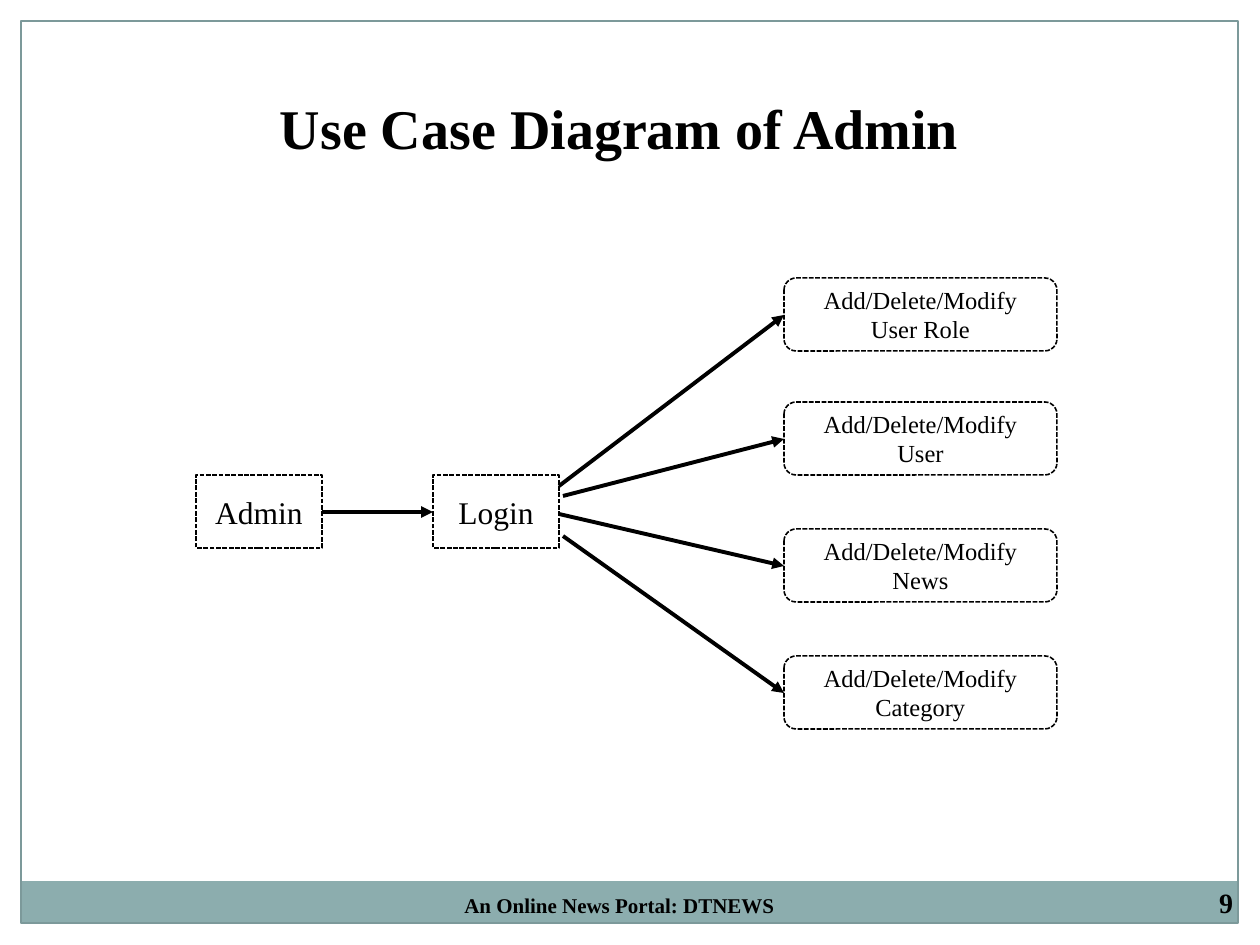
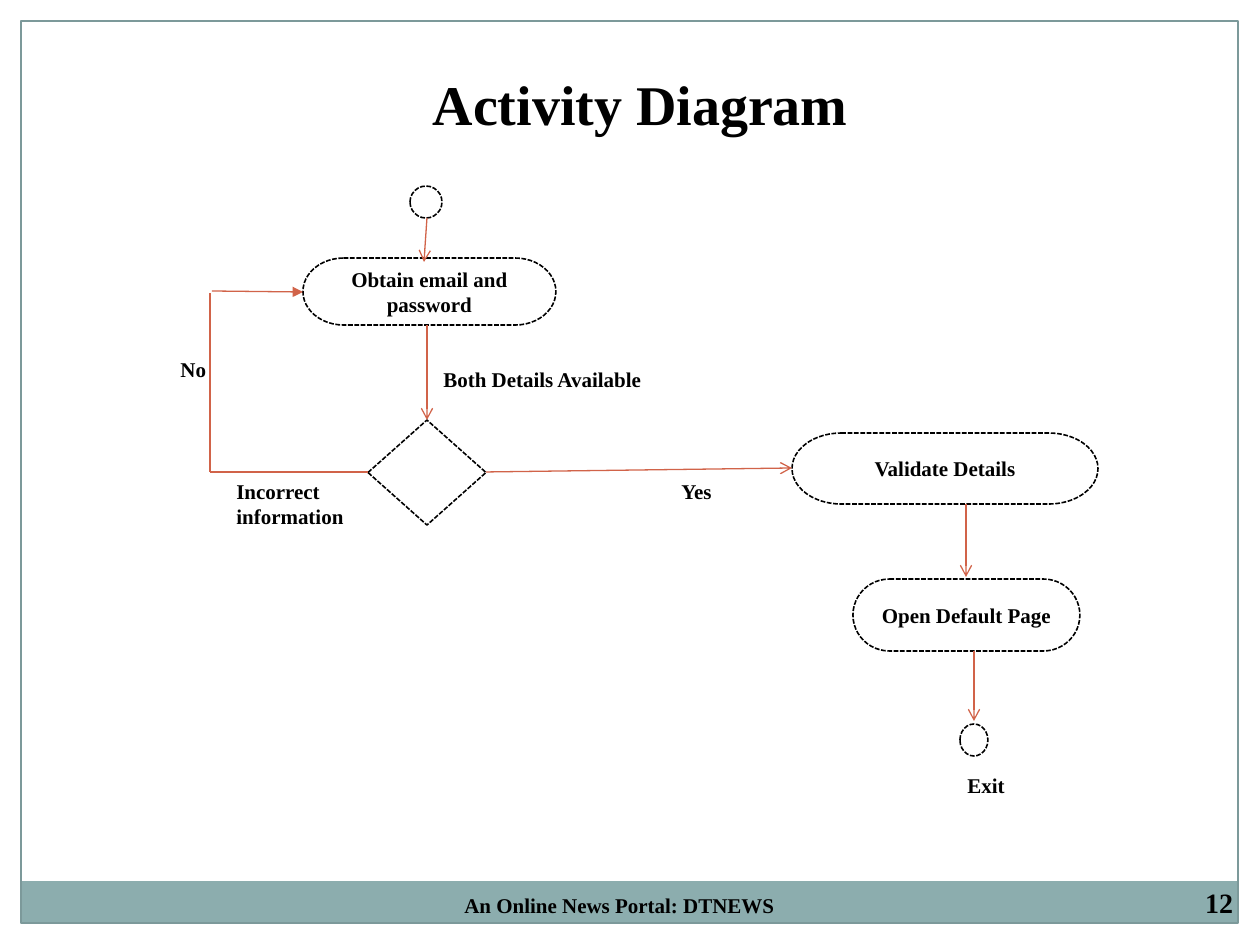
"""Build the use case and activity diagram slides of a news portal talk."""
import lxml.etree
import pptx
import pptx.dml.color
import pptx.enum.dml
import pptx.enum.shapes
import pptx.enum.text
import pptx.oxml.ns
import pptx.util

FONT = "Times New Roman"
BLACK, WHITE, BAND, FRAME, FLOW = "000000", "FFFFFF", "8CADAE", "7C999A", "D16349"
FOOTER = "An Online News Portal: DTNEWS"
SHAPES = pptx.enum.shapes.MSO_SHAPE
ALIGN = pptx.enum.text.PP_ALIGN
ANCHOR = pptx.enum.text.MSO_ANCHOR


def pixels(value):
    """Turn whole pixels into EMU."""
    return pptx.util.Emu(round(value * 914400 / 126))


def color(value):
    """Turn a hex string into a colour."""
    return pptx.dml.color.RGBColor.from_string(value)


def inside(box, left, top, width, height):
    """Shift a rectangle by the corner of its region."""
    return box[0] + left, box[1] + top, width, height


def write(frame, text, size, bold, align):
    """Write one paragraph with one run."""
    paragraph = frame.paragraphs[0]
    paragraph.alignment = align
    run = paragraph.add_run()
    run.text = text
    run.font.name = FONT
    run.font.size = pptx.util.Pt(size)
    run.font.bold = bold
    run.font.color.rgb = color(BLACK)


def add_text(slide, box, text, size=12, align=ALIGN.LEFT, wrap=True):
    """Add a bold text box and return its frame."""
    frame = slide.shapes.add_textbox(*map(pixels, box)).text_frame
    frame.word_wrap = wrap
    write(frame, text, size, True, align)
    return frame


def add_shape(slide, kind, box, fill=None, line=None, width=0.75):
    """Add a flat preset shape."""
    shape = slide.shapes.add_shape(kind, *map(pixels, box))
    shape.shadow.inherit = False
    if fill:
        shape.fill.solid()
        shape.fill.fore_color.rgb = color(fill)
    else:
        shape.fill.background()
    if line:
        shape.line.color.rgb = color(line)
        shape.line.width = pptx.util.Pt(width)
    else:
        shape.line.fill.background()
    return shape


def add_node(slide, kind, box, text="", size=12, bold=True):
    """Add a dashed diagram node with an optional centred label."""
    shape = add_shape(slide, kind, box, WHITE, BLACK, 0.9)
    shape.line.dash_style = pptx.enum.dml.MSO_LINE.SQUARE_DOT
    if text:
        shape.text_frame.word_wrap = True
        shape.text_frame.vertical_anchor = ANCHOR.MIDDLE
        write(shape.text_frame, text, size, bold, ALIGN.CENTER)


def add_line(slide, box, start, end, line, width, head=None):
    """Add a straight line with an optional arrowhead at its end."""
    points = (box[0] + start[0], box[1] + start[1], box[0] + end[0], box[1] + end[1])
    connector = slide.shapes.add_connector(
        pptx.enum.shapes.MSO_CONNECTOR.STRAIGHT, *map(pixels, points))
    connector.line.color.rgb = color(line)
    connector.line.width = pptx.util.Pt(width)
    if head:
        outline = connector.line._get_or_add_ln()
        lxml.etree.SubElement(outline, pptx.oxml.ns.qn("a:tailEnd"), type=head)
    lxml.etree.SubElement(connector._element.spPr, pptx.oxml.ns.qn("a:effectLst"))


def add_slide(presentation, box, number, title, title_box):
    """Add a slide with its band, frame, title, footer and number."""
    slide = presentation.slides.add_slide(presentation.slide_layouts[6])
    add_shape(slide, SHAPES.RECTANGLE, inside(box, 0, 860, 1217, 43), BAND)
    add_shape(slide, SHAPES.RECTANGLE, box, None, FRAME)
    add_text(slide, title_box, title, 32, ALIGN.CENTER)
    add_text(slide, inside(box, -21, 865, 1239, 38), FOOTER, align=ALIGN.CENTER)
    frame = add_text(slide, inside(box, 567, 851, 651, 60), str(number), 16, ALIGN.RIGHT)
    frame.vertical_anchor = ANCHOR.MIDDLE
    frame.margin_left = frame.margin_right = pixels(6)
    frame.margin_top = frame.margin_bottom = pixels(6)
    return slide


def draw_use_cases(slide, box):
    """Draw the admin, the login and the tasks it opens."""
    for left, text in ((0, "Admin"), (237, "Login")):
        add_node(slide, SHAPES.RECTANGLE, inside(box, left, 197, 126, 73), text, 18, False)
    add_line(slide, box, (126, 234), (237, 234), BLACK, 2.25, "triangle")
    tasks = (
        ("User Role", 0, (363, 208)),
        ("User", 124, (367, 218)),
        ("News", 251, (363, 236)),
        ("Category", 378, (367, 258)),
    )
    for subject, top, start in tasks:
        add_node(slide, SHAPES.ROUNDED_RECTANGLE, inside(box, 588, top, 273, 73),
                 f"Add/Delete/Modify {subject}", 14, False)
        add_line(slide, box, start, (588, top + 37), BLACK, 2.25, "triangle")


def draw_activity(slide, box):
    """Draw the login flow from start to exit."""
    nodes = (
        (SHAPES.FLOWCHART_CONNECTOR, (242, 0, 32, 32), ""),
        (SHAPES.FLOWCHART_DECISION, (200, 234, 118, 105), ""),
        (SHAPES.FLOWCHART_TERMINATOR, (135, 72, 253, 67), "Obtain email and password"),
        (SHAPES.FLOWCHART_TERMINATOR, (624, 247, 306, 71), "Validate Details"),
        (SHAPES.FLOWCHART_TERMINATOR, (685, 393, 227, 72), "Open Default Page"),
        (SHAPES.FLOWCHART_CONNECTOR, (792, 538, 28, 32), ""),
    )
    for kind, place, text in nodes:
        add_node(slide, kind, inside(box, *place), text)
    flows = (
        ((259, 32), (256, 76), "arrow"),
        ((259, 139), (259, 234), "arrow"),
        ((318, 286), (624, 282), "arrow"),
        ((798, 318), (798, 391), "arrow"),
        ((806, 465), (806, 535), "arrow"),
        ((200, 286), (42, 286), None),
        ((42, 286), (42, 107), None),
        ((44, 105), (135, 106), "triangle"),
    )
    for start, end, head in flows:
        add_line(slide, box, start, end, FLOW, 0.75, head)
    labels = (
        ("No", (0, 164, 54, 38), False),
        ("Yes", (501, 286, 60, 38), False),
        ("Both Details Available", (263, 174, 228, 38), False),
        ("Exit", (787, 580, 66, 38), False),
        ("Incorrect information", (56, 286, 154, 63), True),
    )
    for text, place, wrap in labels:
        add_text(slide, inside(box, *place), text, wrap=wrap)


def main():
    """Build and save the presentation."""
    presentation = pptx.Presentation()
    presentation.slide_width, presentation.slide_height = pixels(1260), pixels(945)
    frame = (21, 21, 1217, 902)
    slide = add_slide(presentation, frame, 9, "Use Case Diagram of Admin", (84, 87, 1071, 81))
    draw_use_cases(slide, (196, 278, 861, 451))
    slide = add_slide(presentation, frame, 12, "Activity Diagram", (63, 63, 1155, 81))
    draw_activity(slide, (168, 186, 930, 618))
    presentation.save("out.pptx")


main()
